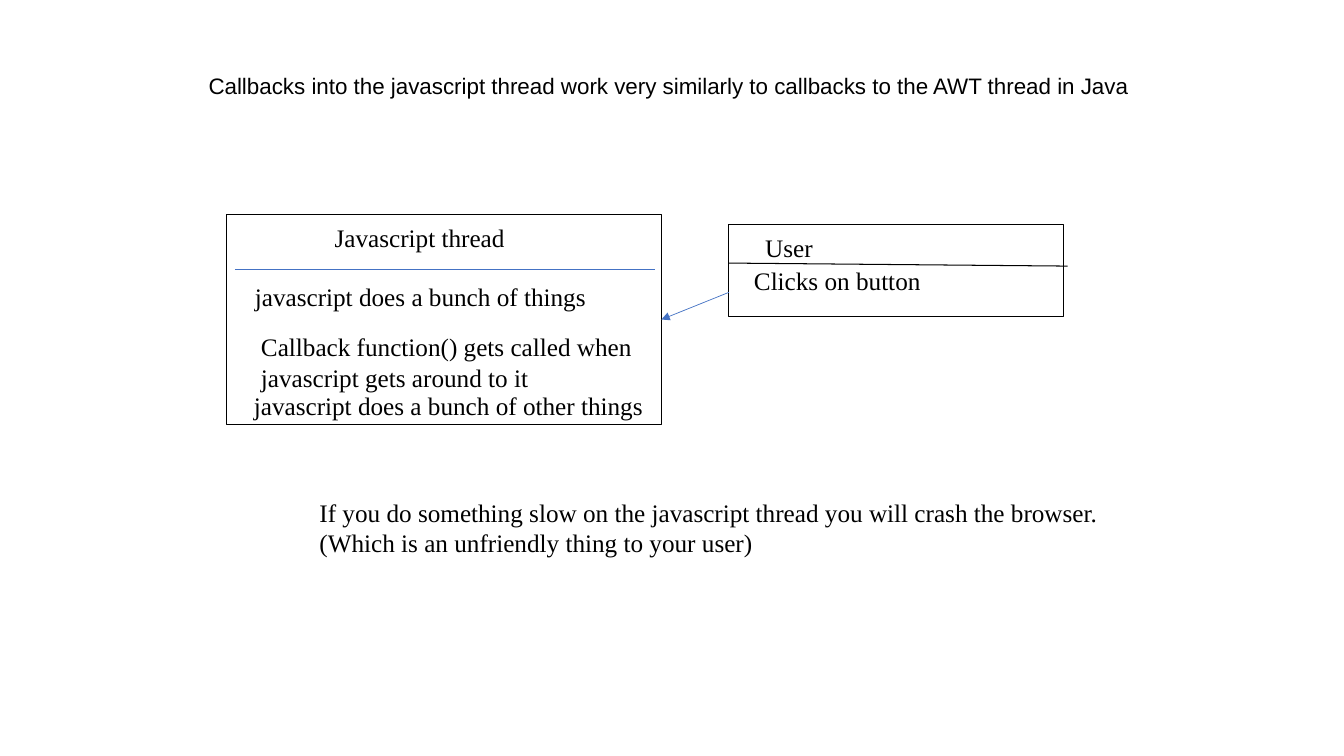
"""Build a slide on callbacks into the javascript thread."""
import lxml.etree
import pptx
import pptx.dml.color
import pptx.enum.shapes
import pptx.enum.text
import pptx.oxml.ns
import pptx.util
from pptx.util import Inches

BLACK = "000000"
BLUE = "4472C4"


def color(value):
    return pptx.dml.color.RGBColor.from_string(value)


class Diagram:
    def __init__(self, slide, font="Times New Roman", size=18):
        self.slide = slide
        self.font = font
        self.size = size

    def text(self, left, top, width, height, *lines, font=None, size=None):
        shape = self.slide.shapes.add_textbox(
            Inches(left), Inches(top), Inches(width), Inches(height))
        frame = shape.text_frame
        frame.word_wrap = False
        frame.auto_size = pptx.enum.text.MSO_AUTO_SIZE.SHAPE_TO_FIT_TEXT
        frame.text = "\n".join(lines)
        for paragraph in frame.paragraphs:
            paragraph.font.name = font or self.font
            paragraph.font.size = pptx.util.Pt(size or self.size)
            paragraph.font.color.rgb = color(BLACK)

    def box(self, left, top, width, height):
        shape = self.slide.shapes.add_shape(
            pptx.enum.shapes.MSO_SHAPE.RECTANGLE,
            Inches(left), Inches(top), Inches(width), Inches(height))
        shape.shadow.inherit = False
        shape.fill.background()
        shape.line.color.rgb = color(BLACK)
        shape.line.width = pptx.util.Pt(0.75)
        return shape

    def line(self, start, end, line_color, width):
        connector = self.slide.shapes.add_connector(
            pptx.enum.shapes.MSO_CONNECTOR.STRAIGHT,
            *(Inches(value) for value in (*start, *end)))
        connector.line.color.rgb = color(line_color)
        connector.line.width = pptx.util.Pt(width)
        lxml.etree.SubElement(connector.element.spPr, pptx.oxml.ns.qn("a:effectLst"))
        return connector

    def arrow(self, start, end, target, side):
        connector = self.line(start, end, BLUE, 0.5)
        connector.end_connect(target, side)
        outline = connector.line._get_or_add_ln()
        lxml.etree.SubElement(outline, pptx.oxml.ns.qn("a:tailEnd"), type="triangle")


def main():
    presentation = pptx.Presentation()
    presentation.slide_width = Inches(13.33)
    presentation.slide_height = Inches(7.5)
    slide = presentation.slides.add_slide(presentation.slide_layouts[6])
    diagram = Diagram(slide)

    diagram.text(1.97, 0.67, 9.44, 0.37,
                 "Callbacks into the javascript thread work very similarly "
                 "to callbacks to the AWT thread in Java", font="Arial", size=16)

    thread_box = diagram.box(2.25, 2.13, 4.31, 2.08)
    diagram.text(3.22, 2.16, 1.91, 0.4, "Javascript thread")
    diagram.line((2.33, 2.67), (6.5, 2.67), BLUE, 0.5)
    diagram.text(2.43, 2.74, 3.52, 0.4, "javascript does a bunch of things")
    diagram.text(2.49, 3.24, 3.92, 0.71,
                 "Callback function() gets called when", "javascript gets around to it")
    diagram.text(2.42, 3.82, 4.1, 0.4, "javascript does a bunch of other things")

    diagram.box(7.23, 2.23, 3.32, 0.91)
    diagram.line((7.23, 2.61), (10.59, 2.64), BLACK, 0.75)
    diagram.text(7.49, 2.26, 0.68, 0.4, "User")
    diagram.text(7.38, 2.58, 1.87, 0.4, "Clicks on button")
    diagram.arrow((7.23, 2.9), (6.56, 3.17), thread_box, 3)

    diagram.text(3.07, 4.88, 8, 0.71,
                 "If you do something slow on the javascript thread you will crash the browser.",
                 "(Which is an unfriendly thing to your user)")
    presentation.save("out.pptx")


if __name__ == "__main__":
    main()
